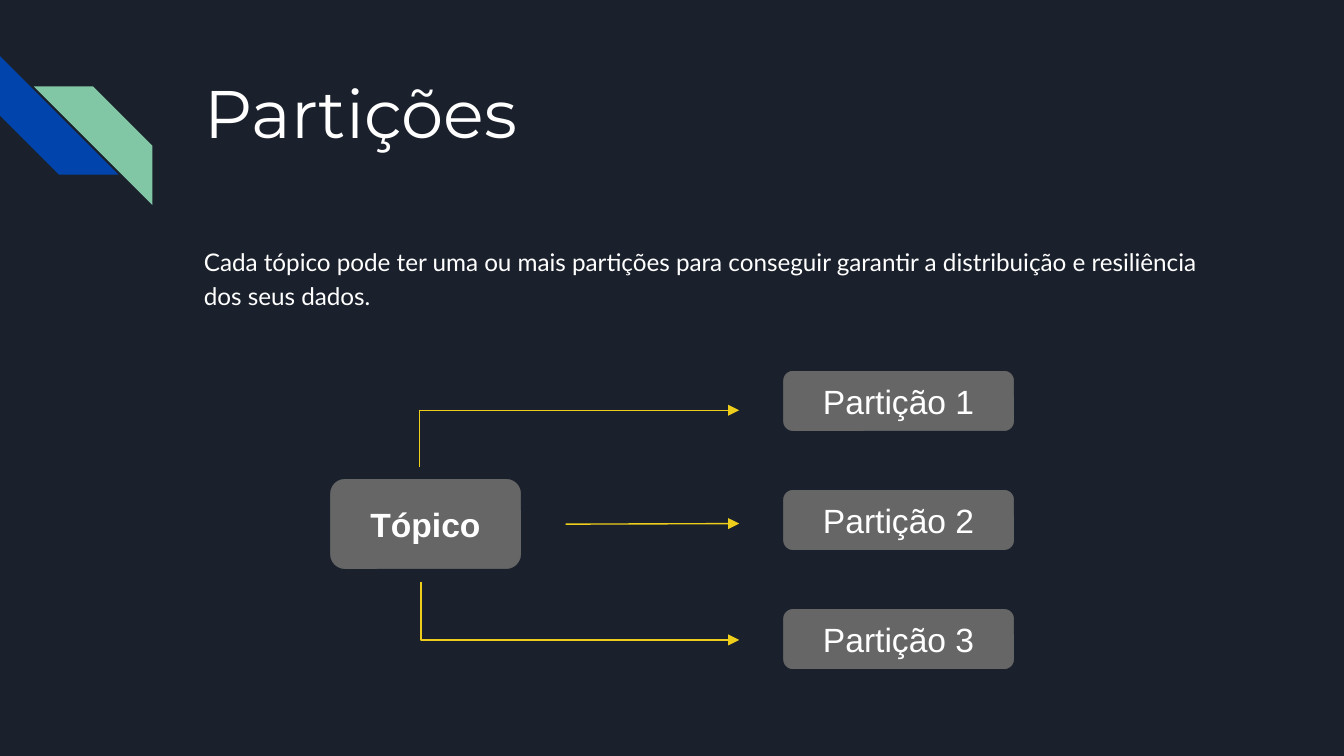
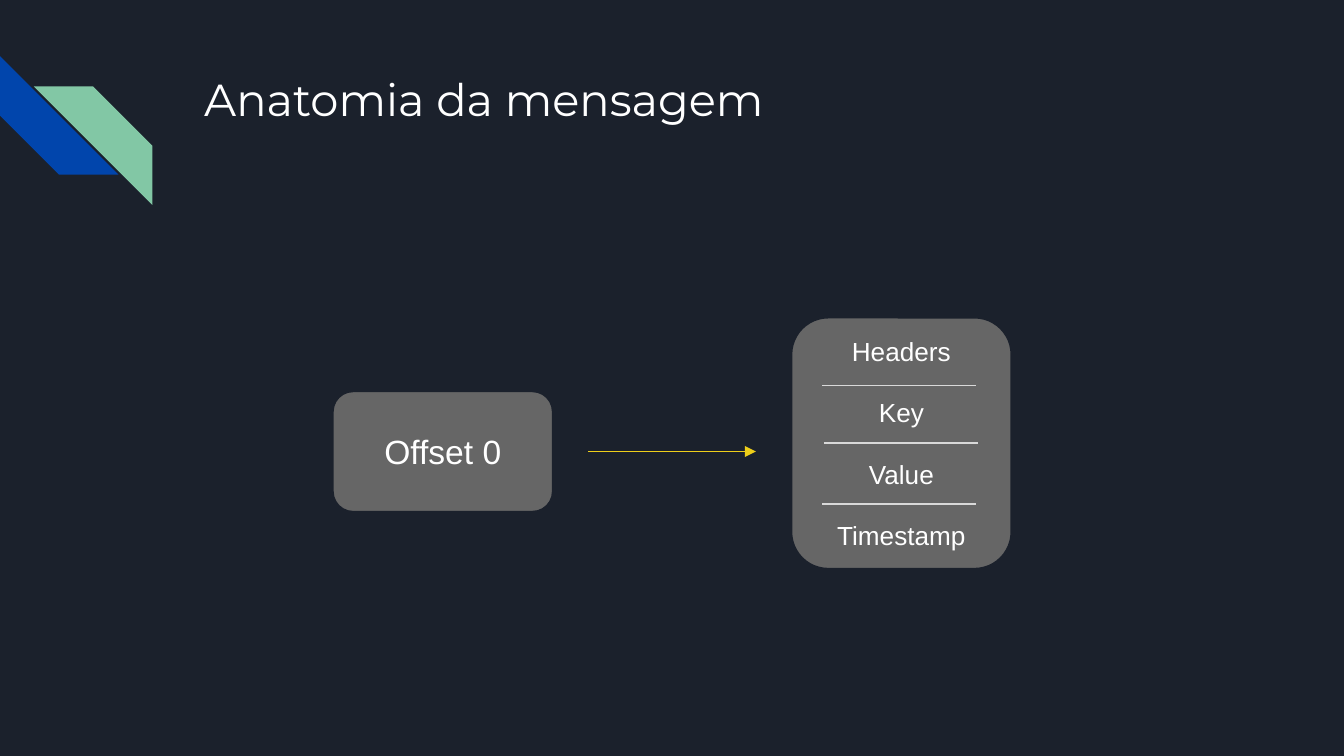
from dataclasses import dataclass

from lxml import etree
from pptx import Presentation
from pptx.dml.color import RGBColor
from pptx.enum.shapes import MSO_CONNECTOR, MSO_SHAPE
from pptx.enum.text import MSO_ANCHOR, MSO_AUTO_SIZE, PP_ALIGN
from pptx.oxml.ns import qn
from pptx.util import Pt

ROUNDED, STRIPE = MSO_SHAPE.ROUNDED_RECTANGLE, MSO_SHAPE.DIAGONAL_STRIPE
STRAIGHT, ELBOW = MSO_CONNECTOR.STRAIGHT, MSO_CONNECTOR.ELBOW
TOP, MIDDLE = MSO_ANCHOR.TOP, MSO_ANCHOR.MIDDLE
LEFT, CENTER = PP_ALIGN.LEFT, PP_ALIGN.CENTER
NO_FIT = MSO_AUTO_SIZE.NONE
TITLE_ONLY = 5

NAVY, BLUE, GREEN = "1B212C", "0145AC", "82C7A5"
GRAY, YELLOW, SILVER, WHITE = "666666", "EECE1A", "D9D9D9", "FFFFFF"
TEXT_LEFT, TEXT_WIDTH = 102.2, 554.4
INSET = 7.2
LINE_WIDTH = 0.75


@dataclass
class Stripe:
    x: float
    y: float
    rotation: int
    color: str
    size: float = 63.5


@dataclass
class Box:
    lines: list[str]
    x: float
    y: float
    w: float
    h: float
    size: float = 18
    bold: bool = False
    gap: float = 0


@dataclass
class Link:
    x1: float
    y1: float
    x2: float
    y2: float
    color: str = YELLOW
    arrow: bool = True
    bent: bool = False


STRIPES = [Stripe(0, 30.1, 270, BLUE), Stripe(18.1, 46.3, 90, GREEN)]

PARTITION_TOP, PARTITION_STEP = 198.3, 63.8
PARTITION_BOXES = [Box(["Tópico"], 176.5, 256.2, 103, 49, bold=True)] + [
    Box([f"Partição {i + 1}"], 419.2, PARTITION_TOP + i * PARTITION_STEP, 124.4, 33)
    for i in range(3)
]
PARTITION_LINKS = [
    Link(303, 280.8, 396, 280.5),
    Link(224.9, 250, 396, 219.8, bent=True),
    Link(225.6, 311.6, 396, 342.8, bent=True),
]

MESSAGE_BOXES = [
    Box(["Offset 0"], 178.4, 209.8, 117.6, 64.3),
    Box(["Headers", "Key", "Value", "Timestamp"], 424.1, 170.3, 117.6, 134.3,
        size=14, gap=16.1),
]
MESSAGE_LINKS = [Link(315, 241.9, 405, 241.9)] + [
    Link(x, y, x + 82.4, y, SILVER, arrow=False)
    for x, y in [(440.4, 206.6), (441.4, 237.3), (440.4, 270)]
]


def rgb(color: str) -> RGBColor:
    return RGBColor.from_string(color)


def set_all(target, values: dict) -> None:
    for name, value in values.items():
        setattr(target, name, value)


def paint(shape, color: str) -> None:
    shape.shadow.inherit = False
    shape.fill.solid()
    shape.fill.fore_color.rgb = rgb(color)


def write(shape, lines: list[str], font: dict, paragraph: dict,
          anchor=TOP, gap: float = 0) -> None:
    tf = shape.text_frame
    set_all(tf, {"word_wrap": True, "auto_size": NO_FIT, "vertical_anchor": anchor})
    set_all(tf, {f"margin_{side}": Pt(INSET)
                 for side in ("left", "right", "top", "bottom")})
    for i, line in enumerate(lines):
        p = tf.add_paragraph() if i else tf.paragraphs[0]
        set_all(p, paragraph)
        p.space_before = Pt(gap if i else 0)
        r = p.add_run()
        r.text = line
        set_all(r.font, font)
        r.font.color.rgb = rgb(WHITE)


def add_stripe(s, stripe: Stripe) -> None:
    sp = s.shapes.add_shape(STRIPE, Pt(stripe.x), Pt(stripe.y),
                            Pt(stripe.size), Pt(stripe.size))
    sp.rotation = stripe.rotation
    paint(sp, stripe.color)
    sp.line.fill.background()


def add_box(s, box: Box) -> None:
    sp = s.shapes.add_shape(ROUNDED, Pt(box.x), Pt(box.y), Pt(box.w), Pt(box.h))
    paint(sp, GRAY)
    sp.line.color.rgb = rgb(NAVY)
    sp.line.width = Pt(LINE_WIDTH)
    font = {"name": "Arial", "size": Pt(box.size), "bold": box.bold}
    write(sp, box.lines, font, {"alignment": CENTER}, MIDDLE, box.gap)


def add_link(s, link: Link) -> None:
    cxn = s.shapes.add_connector(ELBOW if link.bent else STRAIGHT, Pt(link.x1),
                                 Pt(link.y1), Pt(link.x2), Pt(link.y2))
    cxn.line.color.rgb = rgb(link.color)
    cxn.line.width = Pt(LINE_WIDTH)
    props = cxn._element.spPr
    etree.SubElement(props, qn("a:effectLst"))
    if link.arrow:
        etree.SubElement(props.find(qn("a:ln")), qn("a:tailEnd"), type="triangle")
    if link.bent:
        guides = props.find(qn("a:prstGeom")).find(qn("a:avLst"))
        etree.SubElement(guides, qn("a:gd"), name="adj1", fmla="val 0")


def add_slide(prs, title: str, title_size: float,
              boxes: list[Box], links: list[Link]):
    s = prs.slides.add_slide(prs.slide_layouts[TITLE_ONLY])
    for stripe in STRIPES:
        add_stripe(s, stripe)
    sp = s.shapes.title
    set_all(sp, {"left": Pt(TEXT_LEFT), "top": Pt(31),
                 "width": Pt(TEXT_WIDTH), "height": Pt(72)})
    write(sp, [title], {"name": "Montserrat", "size": Pt(title_size)},
          {"alignment": LEFT})
    for box in boxes:
        add_box(s, box)
    for link in links:
        add_link(s, link)
    return s


def add_body(s, text: str) -> None:
    sp = s.shapes.add_textbox(Pt(TEXT_LEFT), Pt(123.1), Pt(TEXT_WIDTH), Pt(54))
    write(sp, [text], {"name": "Lato", "size": Pt(13)},
          {"alignment": LEFT, "line_spacing": 1.15, "space_after": Pt(12)})


def main() -> None:
    prs = Presentation()
    set_all(prs, {"slide_width": Pt(720), "slide_height": Pt(405)})
    background = prs.slide_master.background.fill
    background.solid()
    background.fore_color.rgb = rgb(NAVY)

    partitions = add_slide(prs, "Partições", 36, PARTITION_BOXES, PARTITION_LINKS)
    add_body(partitions, "Cada tópico pode ter uma ou mais partições para conseguir "
                         "garantir a distribuição e resiliência dos seus dados.")
    add_slide(prs, "Anatomia da mensagem", 24, MESSAGE_BOXES, MESSAGE_LINKS)
    prs.save("out.pptx")


if __name__ == "__main__":
    main()
